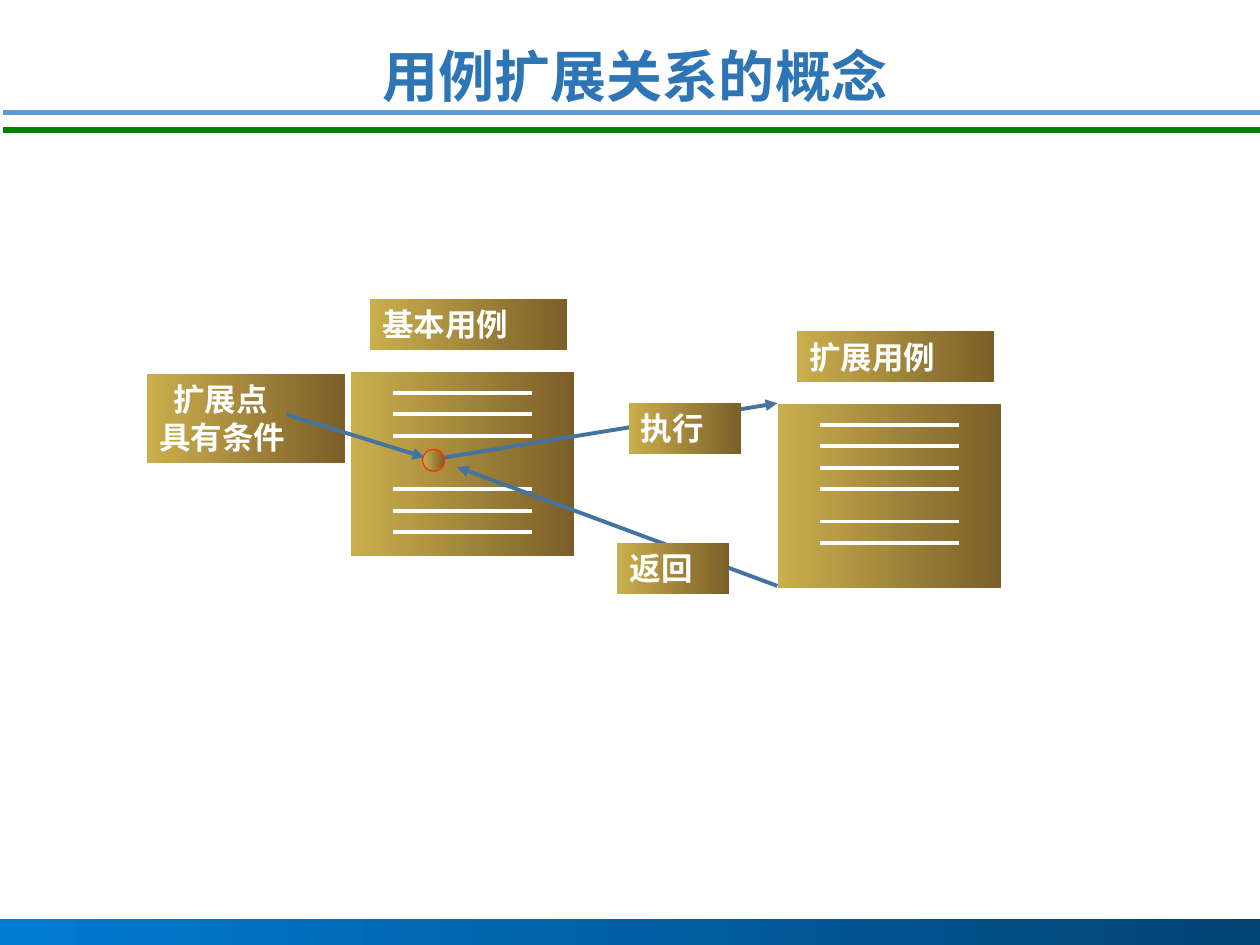
from pptx import Presentation
from pptx import util as u
from pptx.dml import color as dml
from pptx.enum import shapes, text
from pptx.oxml import ns
from lxml import etree

Pt = u.Pt
FONT = "Arial"
COLORS = {
    "title": "2E75B6",
    "rule": "5B9BD5",
    "green": "008000",
    "bar_start": "007BD3",
    "bar_end": "034373",
    "gold": "CAAF4E",
    "brown": "7C5E29",
    "white": "FFFFFF",
    "red": "FF3300",
    "arrow": "43739E",
}


def rgb(name):
    return dml.RGBColor.from_string(COLORS[name])


def add_gradient_shape(page, box, kind=shapes.MSO_SHAPE.RECTANGLE,
                       start="gold", end="brown", outline=None):
    shape = page.shapes.add_shape(kind, *(Pt(value) for value in box))
    shape.shadow.inherit = False
    shape.fill.gradient()
    shape.fill.gradient_angle = 0
    for stop, name in zip(shape.fill.gradient_stops, (start, end)):
        stop.color.rgb = rgb(name)
    if outline:
        shape.line.color.rgb = rgb(outline)
        shape.line.width = Pt(0.75)
    else:
        shape.line.fill.background()
    return shape


def add_line(page, start, end, color, width=2.25, arrow=False):
    line = page.shapes.add_connector(
        shapes.MSO_CONNECTOR.STRAIGHT, *(Pt(value) for value in start + end))
    line.line.color.rgb = rgb(color)
    line.line.width = Pt(width)
    if arrow:
        tail = etree.SubElement(line.line._get_or_add_ln(), ns.qn("a:tailEnd"))
        tail.set("type", "triangle")
    etree.SubElement(line._element.spPr, ns.qn("a:effectLst"))


def add_run(para, words, size, color):
    span = para.add_run()
    span.text = words
    span.font.name = FONT
    span.font.size = Pt(size)
    span.font.bold = True
    span.font.color.rgb = rgb(color)


def add_label(page, box, lines, first_indent=0):
    frame = add_gradient_shape(page, box).text_frame
    frame.word_wrap = True
    frame.vertical_anchor = text.MSO_ANCHOR.TOP
    for index, words in enumerate(lines):
        para = frame.add_paragraph() if index else frame.paragraphs[0]
        para.alignment = text.PP_ALIGN.LEFT
        if index == 0 and first_indent:
            para._p.get_or_add_pPr().set("indent", str(Pt(first_indent)))
        add_run(para, words, 18, "white")


def add_frame(page, width, height):
    add_gradient_shape(page, (-3, height - 15, width + 5, 29),
                       start="bar_start", end="bar_end")
    add_line(page, (2, 64.25), (width + 2, 64.25), "rule", 3)
    add_line(page, (2, 74.25), (width + 2, 74.25), "green", 3)


def add_title(page, box, words):
    title = page.shapes.title
    title.left, title.top, title.width, title.height = (Pt(value) for value in box)
    frame = title.text_frame
    frame.word_wrap = False
    frame.auto_size = text.MSO_AUTO_SIZE.NONE
    frame.vertical_anchor = text.MSO_ANCHOR.TOP
    para = frame.paragraphs[0]
    para.alignment = text.PP_ALIGN.CENTER
    add_run(para, words, 32, "title")


def add_use_case(page, box, name, line_groups):
    left, top, width, height = box
    add_gradient_shape(page, box, outline="white")
    add_label(page, (left + 11, top - 41, 113, 29), [name])
    for offset, count in line_groups:
        for index in range(count):
            y = top + offset + index * 12.3
            add_line(page, (left + 24.4, y), (left + width - 24.2, y), "white")


def add_extension_point(page, box):
    left, top, width, height = box
    add_gradient_shape(page, (left + 157.5, top + 43, 12.5, 12.5),
                       shapes.MSO_SHAPE.OVAL, outline="red")
    add_label(page, box, ["扩展点", "具有条件"], first_indent=8)
    add_line(page, (left + 79.5, top + 23), (left + 158.5, top + 47.5),
             "arrow", arrow=True)


def add_calls(page, box):
    left, top, width, height = box
    right, bottom = left + width, top + height
    add_line(page, (left, top + 31), (right, top), "arrow", arrow=True)
    add_line(page, (right, bottom), (left + 7, top + 36.5), "arrow", arrow=True)
    add_label(page, (left + 105, top, 64, 29), ["执行"])
    add_label(page, (left + 98.5, top + 80, 64, 29), ["返回"])


def main():
    width, height = 720, 540
    deck = Presentation()
    deck.slide_width, deck.slide_height = Pt(width), Pt(height)
    page = deck.slides.add_slide(deck.slide_layouts[5])
    add_frame(page, width, height)
    add_title(page, (211, 20, 304, 46), "用例扩展关系的概念")
    add_use_case(page, (200.3, 212, 128, 106), "基本用例", [(12.5, 3), (67.6, 3)])
    add_extension_point(page, (84, 213.8, 113, 50.6))
    add_use_case(page, (444.3, 230.4, 128, 106), "扩展用例", [(12.3, 4), (67.6, 2)])
    add_calls(page, (254.2, 230.4, 190, 104.4))
    deck.save("out.pptx")


if __name__ == "__main__":
    main()
